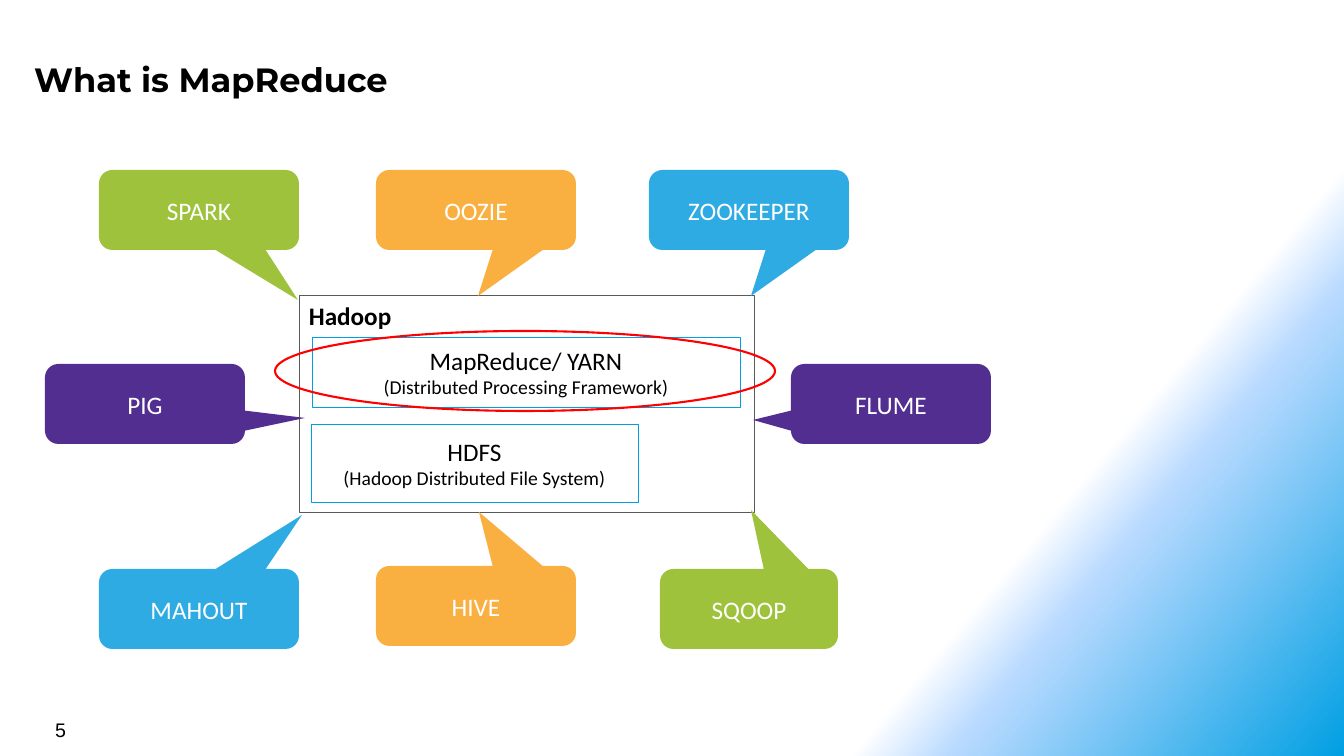
"""Build the slide that shows MapReduce within the Hadoop family."""
import pptx
import pptx.util
import pptx.dml.color
import pptx.enum.shapes
import pptx.enum.text
import pptx.oxml
import pptx.oxml.ns

SCALE = 914400 / 100.8
SIZE = (1344, 756)
KINDS = pptx.enum.shapes.MSO_SHAPE
ALIGN = pptx.enum.text.PP_ALIGN
ANCHOR = pptx.enum.text.MSO_ANCHOR

BLACK, WHITE, RED = "000000", "FFFFFF", "FF0000"
GRAY, CYAN = "595959", "009FE3"
GREEN, AMBER, BLUE, PURPLE = "9EC23C", "FAB041", "2EABE2", "522E91"

STOPS = [(75, WHITE), (80, "B9DAFF"), (100, CYAN)]
ANGLE = 40

TITLE = ("What is MapReduce", (26, 51, 1236, 55), "Montserrat", 24, True, 8, 8)
NUMBER = ("5", (45, 713, 313, 33), "Arial", 14, False, 10, 5)

OUTER = (299, 295, 455, 217)
LAYERS = [
    ("HDFS", "(Hadoop Distributed File System)", (311, 424, 327, 78)),
    ("MapReduce/ YARN", "(Distributed Processing Framework)", (312, 337, 428, 70)),
]
RING = (275, 331, 500, 80)

# label, fill, box, tip
TOOLS = [
    ("OOZIE", AMBER, (376, 170, 200, 80), (478, 296)),
    ("SPARK", GREEN, (99, 170, 200, 80), (298, 300)),
    ("ZOOKEEPER", BLUE, (649, 170, 200, 80), (751, 296)),
    ("FLUME", PURPLE, (791, 364, 200, 80), (753, 420)),
    ("HIVE", AMBER, (376, 566, 200, 80), (479, 512)),
    ("SQOOP", GREEN, (660, 569, 178, 80), (751, 510)),
    ("MAHOUT", BLUE, (99, 569, 200, 80), (302, 515)),
    ("PIG", PURPLE, (45, 364, 200, 80), (305, 418)),
]


def px(n):
    return pptx.util.Emu(round(n * SCALE))


def color(code):
    return pptx.dml.color.RGBColor.from_string(code)


def write(shape, lines, tint, align=ALIGN.CENTER, anchor=ANCHOR.MIDDLE):
    frame = shape.text_frame
    frame.word_wrap = True
    frame.vertical_anchor = anchor
    for i, (text, font, size, bold) in enumerate(lines):
        para = frame.add_paragraph() if i else frame.paragraphs[0]
        para.alignment = align
        run = para.add_run()
        run.text = text
        run.font.name = font
        run.font.size = pptx.util.Pt(size)
        run.font.bold = bold
        run.font.color.rgb = color(tint)


def label(slide, text, box, font, size, bold, side, top):
    shape = slide.shapes.add_textbox(*map(px, box))
    write(shape, [(text, font, size, bold)], BLACK, ALIGN.LEFT, ANCHOR.TOP)
    frame = shape.text_frame
    frame.margin_left = frame.margin_right = px(side)
    frame.margin_top = frame.margin_bottom = px(top)


def draw(slide, kind, box, fill=None, line=None, width=0.5):
    shape = slide.shapes.add_shape(kind, *map(px, box))
    shape.shadow.inherit = False
    if fill:
        shape.fill.solid()
        shape.fill.fore_color.rgb = color(fill)
    else:
        shape.fill.background()
    if line:
        shape.line.color.rgb = color(line)
        shape.line.width = pptx.util.Pt(width)
    else:
        shape.line.fill.background()
    return shape


def shade(slide):
    fill = slide.background.fill
    fill.gradient()
    fill.gradient_angle = -ANGLE % 360
    stops = fill._fill._gradFill.find(pptx.oxml.ns.qn("a:gsLst"))
    for stop in list(stops):
        stops.remove(stop)
    space = pptx.oxml.ns.nsdecls("a")
    for place, code in STOPS:
        stops.append(pptx.oxml.parse_xml(
            f'<a:gs {space} pos="{place * 1000}"><a:srgbClr val="{code}"/></a:gs>'))


def callout(slide, text, fill, box, tip):
    left, top, wide, high = box
    shape = draw(slide, KINDS.ROUNDED_RECTANGULAR_CALLOUT, box, fill)
    shape.adjustments[0] = (tip[0] - left - wide / 2) / wide
    shape.adjustments[1] = (tip[1] - top - high / 2) / high
    write(shape, [(text, "Calibri", 18, False)], WHITE)


def main():
    deck = pptx.Presentation()
    deck.slide_width, deck.slide_height = map(px, SIZE)
    slide = deck.slides.add_slide(deck.slide_layouts[6])
    shade(slide)
    label(slide, *TITLE)
    label(slide, *NUMBER)
    outer = draw(slide, KINDS.RECTANGLE, OUTER, line=GRAY)
    write(outer, [("Hadoop", "Calibri", 18, True)], BLACK, ALIGN.LEFT, ANCHOR.TOP)
    for name, note, box in LAYERS:
        layer = draw(slide, KINDS.RECTANGLE, box, line=CYAN)
        write(layer, [(name, "Calibri", 18, False), (note, "Calibri", 14, False)], BLACK)
    for tool in TOOLS:
        callout(slide, *tool)
    draw(slide, KINDS.OVAL, RING, line=RED, width=1.5)
    deck.save("out.pptx")


if __name__ == "__main__":
    main()
